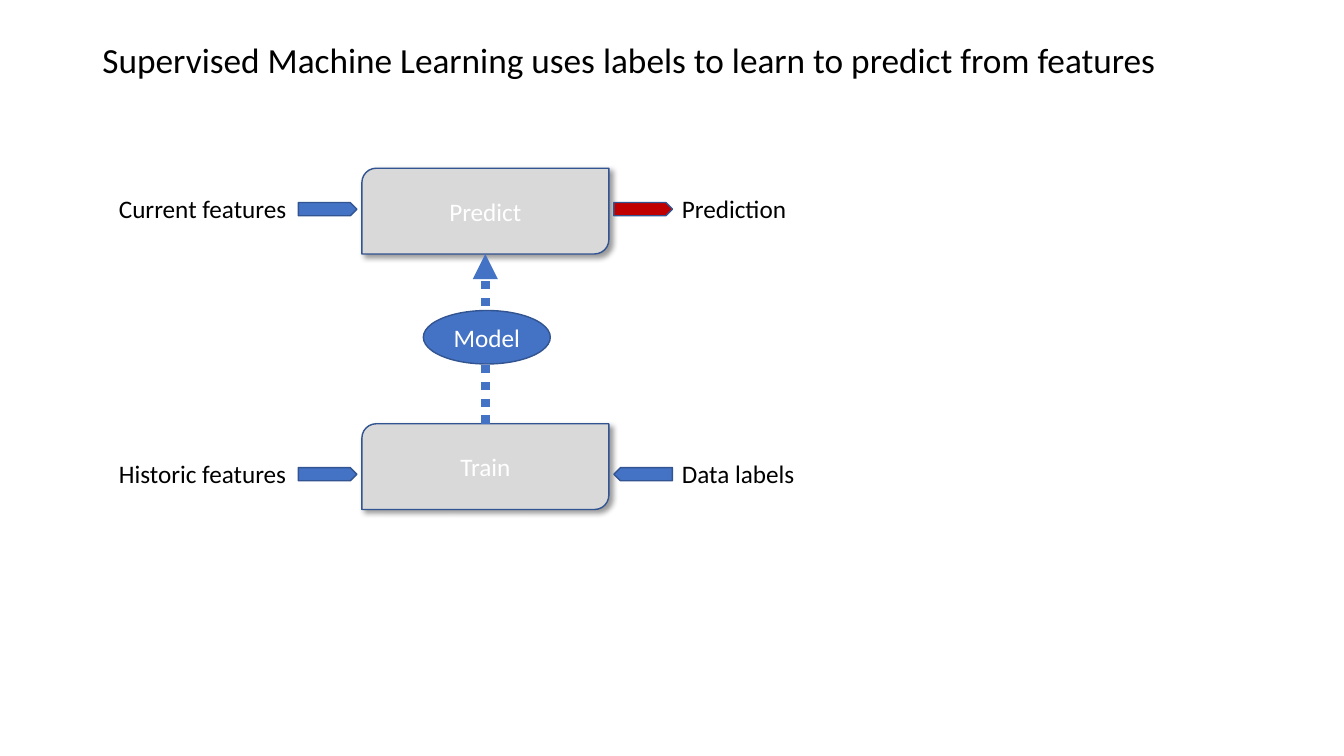
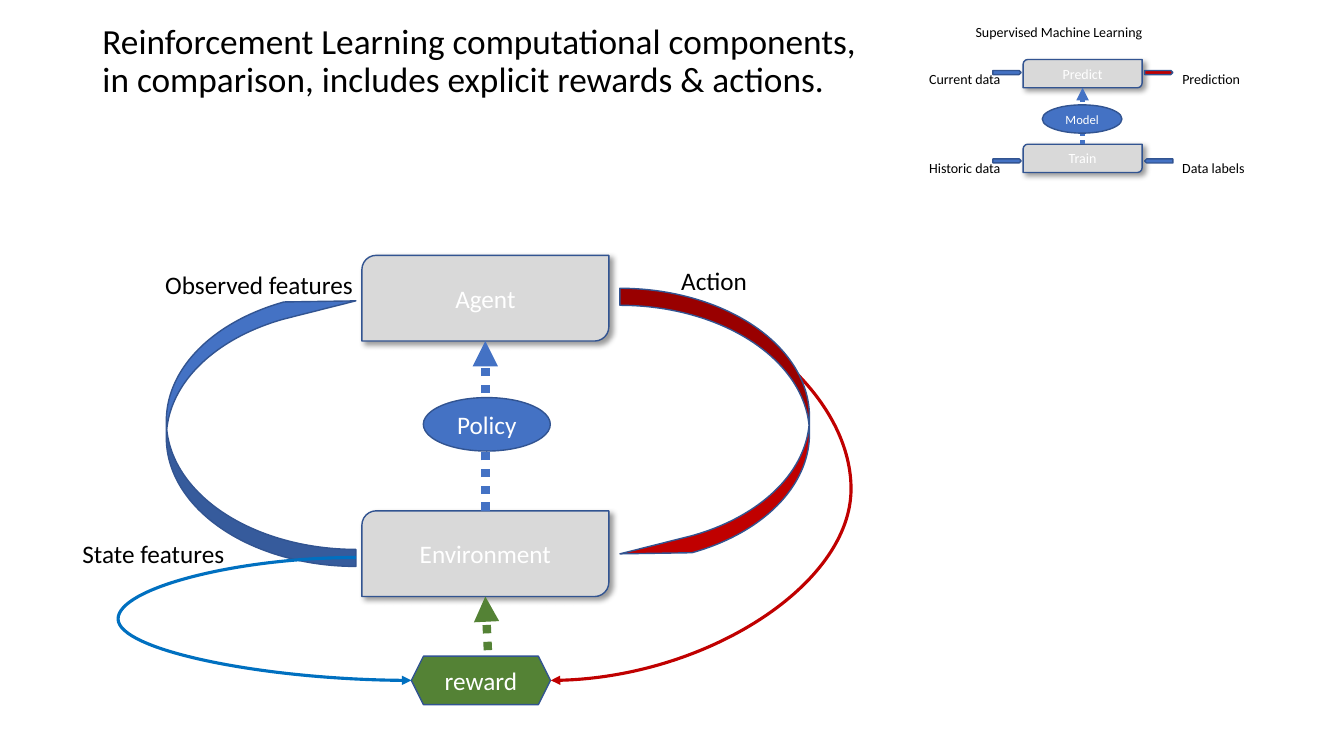
from dataclasses import dataclass

from lxml import etree
from pptx import Presentation
from pptx.dml.color import RGBColor
from pptx.enum.dml import MSO_LINE
from pptx.enum.shapes import MSO_CONNECTOR, MSO_SHAPE
from pptx.enum.text import MSO_ANCHOR, MSO_AUTO_SIZE, PP_ALIGN
from pptx.oxml.ns import qn
from pptx.util import Pt

STAGE = MSO_SHAPE.ROUND_2_DIAG_RECTANGLE
FLOW = MSO_SHAPE.PENTAGON
LOOP = MSO_SHAPE.CURVED_LEFT_ARROW
HEXAGON = MSO_SHAPE.HEXAGON
OVAL = MSO_SHAPE.OVAL
STRAIGHT = MSO_CONNECTOR.STRAIGHT
CURVE = MSO_CONNECTOR.CURVE
DOTTED = MSO_LINE.ROUND_DOT
MIDDLE = MSO_ANCHOR.MIDDLE
LEFT = PP_ALIGN.LEFT
CENTER = PP_ALIGN.CENTER
NO_FIT = MSO_AUTO_SIZE.NONE
GROW = MSO_AUTO_SIZE.SHAPE_TO_FIT_TEXT
TOP_SITE, BOTTOM_SITE = 0, 2
TITLE_ONLY = 5
LOOP_BENDS = (0.5, 0.09, 0.38)


@dataclass(frozen=True)
class Theme:
    font: str = "Calibri"
    black: str = "000000"
    white: str = "FFFFFF"
    gray: str = "D9D9D9"
    blue: str = "4472C4"
    outline: str = "325491"
    red: str = "C00000"
    green: str = "548235"
    sky: str = "0070C0"
    title_size: float = 25.2
    text_size: float = 18
    small_size: float = 10
    tiny_size: float = 9


THEME = Theme()


@dataclass(frozen=True)
class Layout:
    left: float
    top: float
    width: float
    height: float
    pitch: float
    oval: tuple
    stroke: float
    size: float
    oval_size: float
    flow_lefts: tuple
    flow_size: tuple
    flow_drops: tuple
    label_lefts: tuple
    label_drops: tuple
    label_widths: tuple
    label_height: float


LARGE = dict(left=258.5, width=176.4, height=61.2, pitch=182.5, oval=(43.9, 101.6, 90.7, 38.2),
             stroke=6, size=THEME.text_size, oval_size=THEME.text_size,
             flow_lefts=(213.1, 438.5), flow_size=(41.8, 9.4), flow_drops=(24.5, 31.3),
             label_lefts=(77.8, 480), label_drops=(14.4, 20.9),
             label_widths=((135.4, 90), (135.4, 95.8)), label_height=28.8)
SUPERVISED = Layout(top=120.2, **LARGE)
REINFORCEMENT = Layout(top=182.4, **LARGE)
SMALL = Layout(left=730.8, top=42.5, width=85, height=20.2, pitch=60.5,
               oval=(13.7, 32.4, 56.9, 20.2), stroke=3,
               size=THEME.small_size, oval_size=THEME.tiny_size,
               flow_lefts=(709.2, 817.6), flow_size=(20.2, 2.9), flow_drops=(7.9, 10.5),
               label_lefts=(656.6, 837.4), label_drops=(4.3, 7.2),
               label_widths=((67, 56.2), (66.2, 59.8)), label_height=19.4)


def assign(target, values):
    for name, value in values.items():
        setattr(target, name, value)


class Deck:
    def __init__(self, theme):
        self.theme = theme
        self.presentation = Presentation()
        assign(self.presentation, dict(slide_width=Pt(960), slide_height=Pt(540)))
        self.slide = None

    def add_slide(self, title):
        self.slide = self.presentation.slides.add_slide(self.presentation.slide_layouts[TITLE_ONLY])
        shape = self.slide.shapes.title
        assign(shape, dict(left=Pt(66), top=Pt(28.8), width=Pt(828), height=Pt(31.7)))
        assign(shape.text_frame, dict(vertical_anchor=MIDDLE, word_wrap=True, auto_size=NO_FIT))
        self.set_text(shape, title, self.theme.title_size, self.theme.black, LEFT, 0.9)

    def set_text(self, shape, text, size, color, alignment, spacing=1.0):
        shape.text_frame.text = text
        paragraph = shape.text_frame.paragraphs[0]
        assign(paragraph, dict(alignment=alignment, line_spacing=spacing))
        for run in paragraph.runs:
            assign(run.font, dict(name=self.theme.font, size=Pt(size)))
            run.font.color.rgb = RGBColor.from_string(color)

    def label(self, text, left, top, width, height=28.8, size=THEME.text_size):
        shape = self.slide.shapes.add_textbox(Pt(left), Pt(top), Pt(width), Pt(height))
        assign(shape.text_frame, dict(word_wrap=False, auto_size=GROW))
        self.set_text(shape, text, size, self.theme.black, LEFT)

    def block(self, kind, box, fill, text="", size=THEME.text_size, rotation=0, bends=()):
        shape = self.slide.shapes.add_shape(kind, *map(Pt, box))
        shape.rotation = rotation
        shape.shadow.inherit = False
        shape.fill.solid()
        shape.fill.fore_color.rgb = RGBColor.from_string(fill)
        shape.line.color.rgb = RGBColor.from_string(self.theme.outline)
        shape.line.width = Pt(1)
        for index, bend in enumerate(bends):
            shape.adjustments[index] = bend
        if text:
            shape.text_frame.vertical_anchor = MIDDLE
            self.set_text(shape, text, size, self.theme.white, CENTER)
        return shape

    def stage(self, box, text, size):
        shape = self.block(STAGE, box, self.theme.gray, text, size)
        effects = shape.element.spPr.find(qn("a:effectLst"))
        shadow = etree.SubElement(effects, qn("a:outerShdw"), blurRad=str(Pt(4)), dist=str(Pt(3)),
                                  dir="2700000", algn="tl", rotWithShape="0")
        color = etree.SubElement(shadow, qn("a:srgbClr"), val=self.theme.black)
        etree.SubElement(color, qn("a:alpha"), val="40000")
        return shape

    def arrow(self, kind, start, end, color, width, dash=None):
        connector = self.slide.shapes.add_connector(kind, *map(Pt, start + end))
        connector.line.color.rgb = RGBColor.from_string(color)
        assign(connector.line, dict(width=Pt(width), dash_style=dash))
        properties = connector.element.spPr
        etree.SubElement(properties.find(qn("a:ln")), qn("a:tailEnd"), type="triangle")
        etree.SubElement(properties, qn("a:effectLst"))
        return connector

    def curve(self, start, end, color, bend):
        connector = self.arrow(CURVE, start, end, color, 2.25)
        guides = connector.element.spPr.find(qn("a:prstGeom")).find(qn("a:avLst"))
        etree.SubElement(guides, qn("a:gd"), name="adj1", fmla=f"val {round(bend * 100000)}")

    def core(self, layout, upper, lower, middle):
        center = layout.left + layout.width / 2
        lower_top = layout.top + layout.pitch
        extent = (layout.width, layout.height)
        lower_stage = self.stage((layout.left, lower_top) + extent, lower, layout.size)
        upper_stage = self.stage((layout.left, layout.top) + extent, upper, layout.size)
        connector = self.arrow(STRAIGHT, (center, lower_top), (center, layout.top + layout.height),
                               self.theme.blue, layout.stroke, DOTTED)
        connector.begin_connect(lower_stage, TOP_SITE)
        connector.end_connect(upper_stage, BOTTOM_SITE)
        left, top, width, height = layout.oval
        self.block(OVAL, (layout.left + left, layout.top + top, width, height),
                   self.theme.blue, middle, layout.oval_size)
        return lower_stage

    def supervised(self, layout, inputs):
        self.core(layout, "Predict", "Train", "Model")
        outputs = ("Prediction", "Data labels")
        for row, texts in enumerate(zip(inputs, outputs)):
            top = layout.top + row * layout.pitch
            for side, text in enumerate(texts):
                fill = self.theme.red if text == "Prediction" else self.theme.blue
                rotation = 180 if text == "Data labels" else 0
                self.block(FLOW, (layout.flow_lefts[side], top + layout.flow_drops[row])
                           + layout.flow_size, fill, rotation=rotation)
                self.label(text, layout.label_lefts[side], top + layout.label_drops[row],
                           layout.label_widths[row][side], layout.label_height, layout.size)


def main():
    deck = Deck(THEME)

    deck.add_slide("Supervised Machine Learning uses labels to learn to predict from features")
    deck.supervised(SUPERVISED, ("Current features", "Historic features"))

    deck.add_slide("Reinforcement Learning computational components,\v"
                   "in comparison, includes explicit rewards & actions.")
    environment = deck.core(REINFORCEMENT, "Agent", "Environment", "Policy")
    deck.label("Observed features", 110.9, 188.6, 150.5)
    deck.label("State features", 51.8, 380.9, 116.6)
    deck.label("Action", 479.5, 185.8, 61.9)
    deck.supervised(SMALL, ("Current data", "Historic data"))
    deck.label("Supervised Machine Learning", 689.8, 13, 134.6, 19.4, THEME.small_size)

    deck.block(LOOP, (118.8, 208.8, 135.4, 195.8), THEME.blue, rotation=180, bends=LOOP_BENDS)
    deck.block(HEXAGON, (293.8, 468.7, 99.4, 34.6), THEME.green, "reward")
    reward_arrow = deck.arrow(STRAIGHT, (348.5, 464.4), (346.7, 426.1), THEME.green, 6, DOTTED)
    reward_arrow.end_connect(environment, BOTTOM_SITE)
    deck.curve((442.8, 212.4), (393.5, 486), THEME.red, -3.35)
    deck.block(LOOP, (442.8, 205.9, 135.4, 195.8), THEME.red, bends=LOOP_BENDS)
    deck.curve((254.2, 398.2), (293.8, 486), THEME.sky, -4.29)

    deck.presentation.save("out.pptx")


if __name__ == "__main__":
    main()
